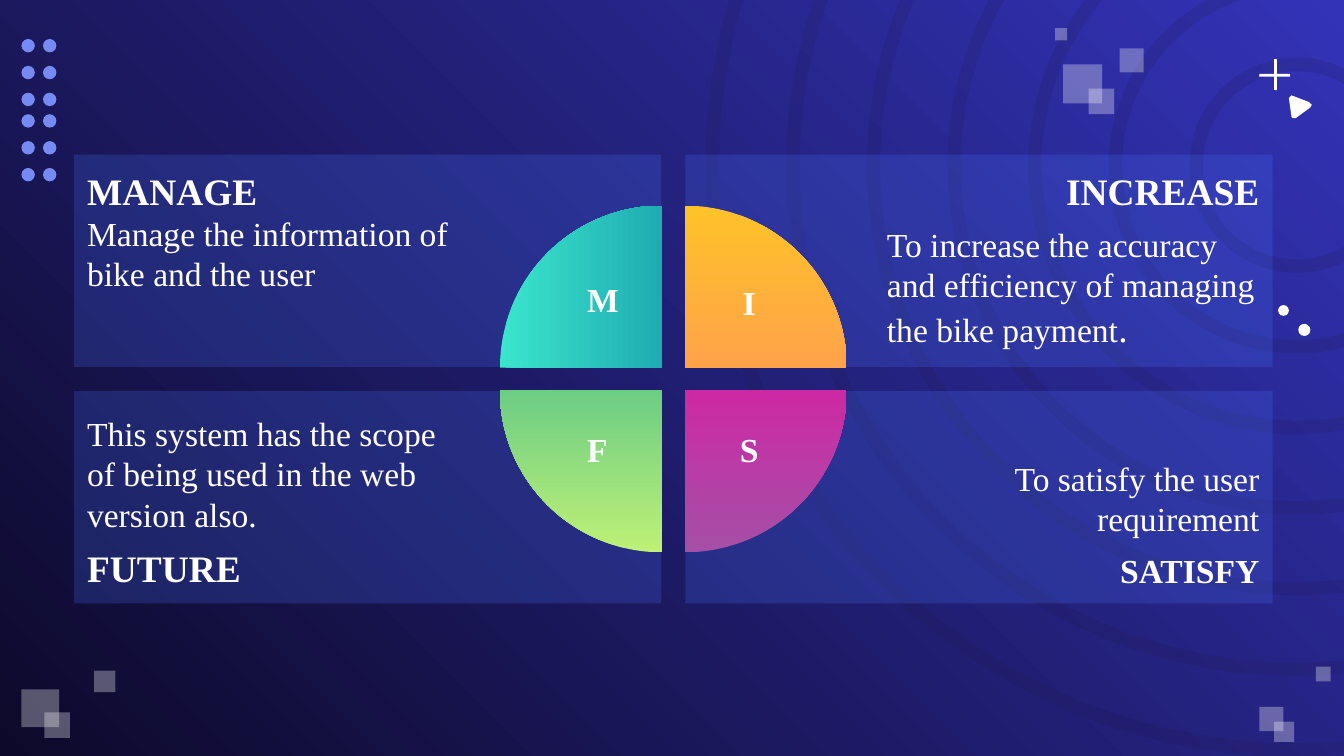
"""Build the MIFS objectives slide: four panels around a four-part pie."""
from lxml.etree import SubElement
from pptx import Presentation
from pptx.dml.color import RGBColor
from pptx.enum.shapes import MSO_SHAPE
from pptx.enum.text import MSO_ANCHOR, PP_ALIGN
from pptx.oxml.ns import qn
from pptx.util import Inches, Pt

FONT = "Times New Roman"
WHITE = "FFFFFF"


def paint(fill, colors, angle=0):
    if len(colors) == 1:
        fill.solid()
        fill.fore_color.rgb = RGBColor.from_string(colors[0])
        return
    fill.gradient()
    fill.gradient_angle = angle
    for stop, color in zip(fill.gradient_stops, colors):
        stop.color.rgb = RGBColor.from_string(color)


def add_figure(kind, left, top, width, height, colors, opacity=100, angle=0):
    shape = slide.shapes.add_shape(
        kind, Inches(left), Inches(top), Inches(width), Inches(height))
    shape.shadow.inherit = False
    shape.line.fill.background()
    paint(shape.fill, colors, angle)
    if opacity < 100:
        for color in shape._element.spPr.iter(qn("a:srgbClr")):
            SubElement(color, qn("a:alpha"), val=str(opacity * 1000))
    return shape


presentation = Presentation()
presentation.slide_width = Inches(10)
presentation.slide_height = Inches(10) * 9 // 16
slide = presentation.slides.add_slide(presentation.slide_layouts[6])
paint(slide.background.fill, ["0D092A", "3333B8"], 45)

for index in range(7):
    radius = 4.4 - 0.6 * index
    ring = add_figure(MSO_SHAPE.DONUT, 9.65 - radius, 1.23 - radius,
                      2 * radius, 2 * radius, ["201A4A"], 17)
    ring.adjustments[0] = 0.1 / (2 * radius)

squares = [
    (0.7, 4.99, 0.16), (0.16, 5.13, 0.28), (0.33, 5.3, 0.19),
    (9.37, 5.26, 0.18), (9.79, 4.96, 0.11), (9.48, 5.37, 0.15),
    (7.91, 0.48, 0.29), (8.1, 0.66, 0.19), (8.33, 0.36, 0.18), (7.85, 0.21, 0.09),
]
for left, top, size in squares:
    add_figure(MSO_SHAPE.RECTANGLE, left, top, size, size, [WHITE], 31)

add_figure(MSO_SHAPE.ROUNDED_RECTANGLE, 9.48, 0.44, 0.02, 0.23, [WHITE])
add_figure(MSO_SHAPE.ROUNDED_RECTANGLE, 9.37, 0.55, 0.23, 0.02, [WHITE])
add_figure(MSO_SHAPE.OVAL, 9.51, 2.27, 0.08, 0.08, [WHITE])
add_figure(MSO_SHAPE.OVAL, 9.66, 2.41, 0.09, 0.09, [WHITE])

builder = slide.shapes.build_freeform(Inches(9.59), Inches(0.73))
builder.add_line_segments([(Inches(x), Inches(y)) for x, y in [
    (9.61, 0.87), (9.62, 0.88), (9.64, 0.88), (9.75, 0.8),
    (9.76, 0.78), (9.74, 0.76), (9.61, 0.71)]])
triangle = builder.convert_to_shape()
triangle.shadow.inherit = False
triangle.line.fill.background()
paint(triangle.fill, [WHITE])

for left in (0.16, 0.32):
    for top in (0.29, 0.49, 0.69, 0.85, 1.05, 1.25):
        add_figure(MSO_SHAPE.OVAL, left, top, 0.1, 0.1, ["7789F2"])

LEFT, RIGHT = PP_ALIGN.LEFT, PP_ALIGN.RIGHT
panels = [
    (0.55, 1.15, [("MANAGE", 20, True, LEFT, 0),
                  ("Manage the information of bike and the user", 18, False, LEFT, 0)]),
    (5.1, 1.15, [("INCREASE", 20, True, RIGHT, 0),
                 ("To increase the accuracy and efficiency of managing the bike payment",
                  18, False, LEFT, 6)]),
    (0.55, 2.91, [("This system has the scope of being used in the web version also.",
                   18, False, LEFT, 0),
                  ("FUTURE", 20, True, LEFT, 6)]),
    (5.1, 2.91, [("To satisfy the user requirement", 18, False, RIGHT, 0),
                 ("SATISFY", 18, True, RIGHT, 6)]),
]
for left, top, lines in panels:
    panel = add_figure(MSO_SHAPE.RECTANGLE, left, top, 4.37, 1.58, ["4B77FF"], 21)
    frame = panel.text_frame
    frame.word_wrap = True
    frame.vertical_anchor = MSO_ANCHOR.TOP if top < 2 else MSO_ANCHOR.BOTTOM
    frame.margin_left = Inches(0.1 if left < 5 else 1.5)
    frame.margin_right = Inches(1.5 if left < 5 else 0.1)
    frame.margin_top = frame.margin_bottom = Inches(0.1)
    for index, (text, size, bold, alignment, space) in enumerate(lines):
        paragraph = frame.add_paragraph() if index else frame.paragraphs[0]
        paragraph.alignment = alignment
        paragraph.space_before = paragraph.space_after = Pt(space)
        run = paragraph.add_run()
        run.text = text
        paragraph.font.name = FONT
        paragraph.font.size = Pt(size)
        paragraph.font.bold = bold
        paint(paragraph.font.fill, [WHITE])
        if text.endswith("payment"):
            period = paragraph.add_run()
            period.text = "."
            period.font.size = Pt(20)

quarters = [
    (3.72, 1.53, ["3BE5CC", "027196"], 0),
    (3.89, 1.53, ["FFC229", "FF826C"], 0),
    (3.89, 1.7, ["A54FA6", "F702A2"], 270),
    (3.72, 1.7, ["BEF176", "17A892"], 0),
]
for index, (left, top, colors, angle) in enumerate(quarters):
    quarter = add_figure(MSO_SHAPE.PIE, left, top, 2.41, 2.41, colors, angle=angle)
    quarter.rotation = 90 * index
    quarter.adjustments[0] = 108
    quarter.adjustments[1] = 162

letters = [("M", 4.27, 2.03, 0.29, 0.44), ("S", 5.4, 3.14, 0.35, 0.42),
           ("F", 4.27, 3.14, 0.35, 0.42), ("I", 5.4, 2.05, 0.35, 0.48)]
for letter, left, top, width, height in letters:
    label = slide.shapes.add_textbox(
        Inches(left), Inches(top), Inches(width), Inches(height))
    label.text_frame.word_wrap = True
    paragraph = label.text_frame.paragraphs[0]
    paragraph.text = letter
    paragraph.alignment = PP_ALIGN.CENTER
    paragraph.font.name = FONT
    paragraph.font.size = Pt(18)
    paragraph.font.bold = True
    paint(paragraph.font.fill, [WHITE])

presentation.save("out.pptx")
